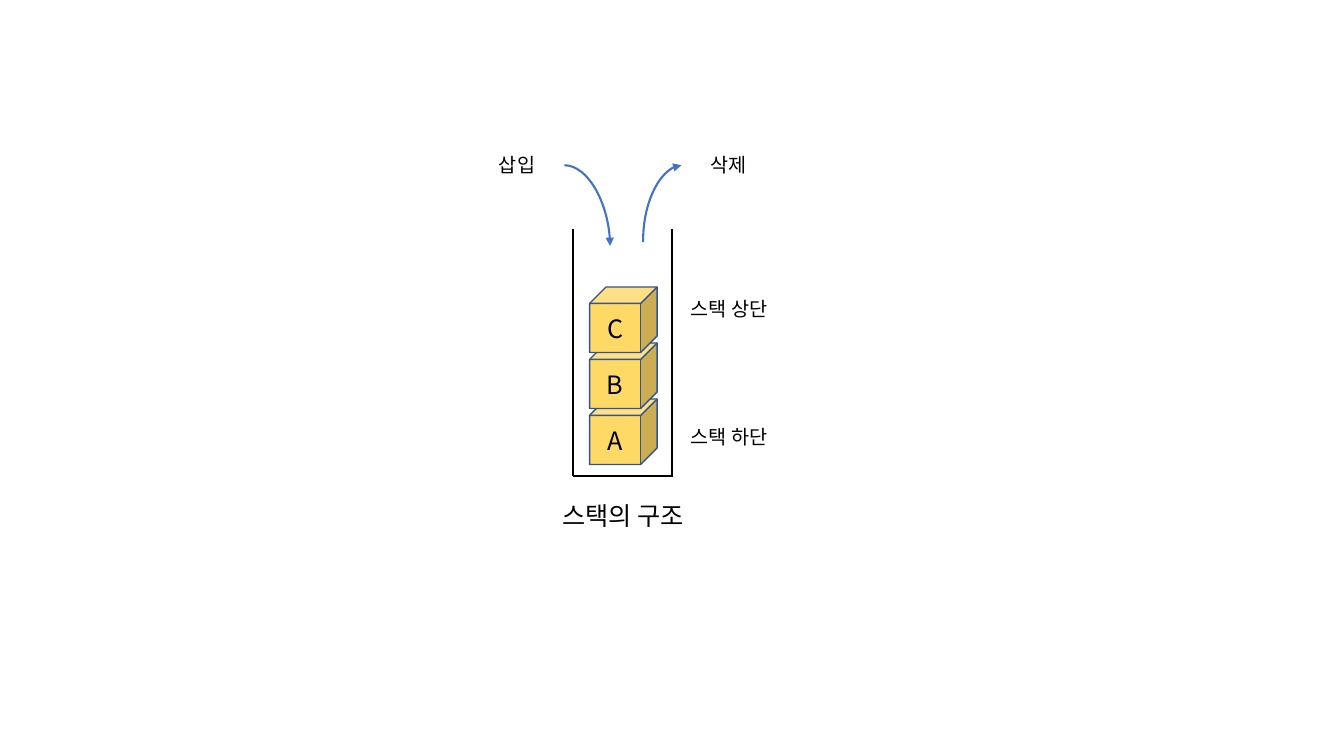
from dataclasses import dataclass

from pptx import Presentation
from pptx import util as u
from pptx.dml.color import RGBColor
from pptx.enum import shapes, text
from pptx.oxml.ns import qn
from lxml import etree

Pt = u.Pt


@dataclass(frozen=True)
class Theme:
    font: str = "Noto Sans CJK KR"
    ink: RGBColor = RGBColor(0x00, 0x00, 0x00)
    cube: RGBColor = RGBColor(0xFF, 0xD9, 0x66)
    edge: RGBColor = RGBColor(0x32, 0x54, 0x91)
    arrow: RGBColor = RGBColor(0x44, 0x72, 0xC4)
    large: int = 18
    small: int = 14
    thin: float = 1
    thick: float = 1.5


THEME = Theme()


def write(sp, words, size):
    tf = sp.text_frame
    tf.word_wrap = True
    p = tf.paragraphs[0]
    p.text = words
    p.alignment = text.PP_ALIGN.CENTER
    p.font.size = Pt(size)
    p.font.name = THEME.font
    p.font.color.rgb = THEME.ink
    # Hangul takes its typeface from the East Asian font slot
    for r in p.runs:
        r.font.name = THEME.font
        etree.SubElement(r.font._element, qn("a:ea"), typeface=THEME.font)


def add_label(s, words, size, left, top, width, height):
    box = s.shapes.add_textbox(Pt(left), Pt(top), Pt(width), Pt(height))
    write(box, words, size)


def add_line(s, kind, start, end, color):
    line = s.shapes.add_connector(kind, *(Pt(v) for v in (*start, *end)))
    line.line.color.rgb = color
    line.line.width = Pt(THEME.thick)
    etree.SubElement(line._element.spPr, qn("a:effectLst"))
    return line


def add_curved_arrow(s, start, end, turned=False):
    """Quarter curve; leaves start sideways, or vertically when turned."""
    (x1, y1), (x2, y2) = start, end
    if turned:
        # Frame before its 90 degree turn: same centre, sides exchanged
        cx, cy = (x1 + x2) / 2, (y1 + y2) / 2
        dx, dy = (y1 - y2) / 2, (x2 - x1) / 2
        start, end = (cx + dx, cy + dy), (cx - dx, cy - dy)
    arrow = add_line(s, shapes.MSO_CONNECTOR.CURVE, start, end, THEME.arrow)
    sp_pr = arrow._element.spPr
    sp_pr.find(qn("a:prstGeom")).set("prst", "curvedConnector2")
    if turned:
        sp_pr.find(qn("a:xfrm")).set("rot", str(90 * 60000))
    etree.SubElement(sp_pr.find(qn("a:ln")), qn("a:tailEnd"), type="triangle")


def add_cube(s, letter, left, top, width, height):
    cube = s.shapes.add_shape(shapes.MSO_SHAPE.CUBE, Pt(left), Pt(top), Pt(width), Pt(height))
    cube.shadow.inherit = False
    cube.fill.solid()
    cube.fill.fore_color.rgb = THEME.cube
    cube.line.color.rgb = THEME.edge
    cube.line.width = Pt(THEME.thin)
    cube.text_frame.vertical_anchor = text.MSO_ANCHOR.MIDDLE
    write(cube, letter, THEME.large)


def add_container(s, left, top, width, height):
    """Open-topped container."""
    right, floor = left + width, top + height
    straight = shapes.MSO_CONNECTOR.STRAIGHT
    for start, end in (
        ((left, top), (left, floor)),
        ((right, top), (right, floor)),
        ((left, floor), (right + 0.8, floor)),
    ):
        add_line(s, straight, start, end, THEME.ink)


def add_cubes(s, letters, left, top, width, height):
    """Stack cubes from the bottom up, each overlapping the one below."""
    cube_height, pitch = 46.8, 40
    bottom = top + height - 8 - cube_height
    for i, letter in enumerate(letters):
        add_cube(s, letter, left + 12.2, bottom - i * pitch, 48.2, cube_height)


def add_stack(s, left, top, width, height):
    box = (left, top, width, height)
    add_label(s, "스택의 구조", THEME.large, left - 204.5, top + 190.1, 481, 28.8)
    add_cubes(s, "ABC", *box)
    add_container(s, *box)
    for words, dy in (("스택 하단", 136.8), ("스택 상단", 45.4)):
        add_label(s, words, THEME.small, left + 12.2, top + dy, 199.4, 24.5)


def add_operations(s, left, top, width, height):
    """Insert and delete labels at the sides, with an arrow in and one out."""
    label_width, label_height = 67.7, 24.5
    right = left + width - label_width
    for words, x in (("삭제", right), ("삽입", left)):
        add_label(s, words, THEME.small, x, top, label_width, label_height)
    middle, bottom = top + label_height / 2, top + height
    begin = left + label_width
    add_curved_arrow(s, (begin, middle), (begin + 32.6, bottom))
    add_curved_arrow(s, (right - 27.4, bottom - 2.8), (right, middle), turned=True)


def main():
    prs = Presentation()
    prs.slide_width, prs.slide_height = Pt(960), Pt(540)
    s = prs.slides.add_slide(prs.slide_layouts[6])
    add_stack(s, 409, 163.4, 71.2, 176.4)
    add_operations(s, 335.5, 105.8, 218.9, 69.9)
    prs.save("out.pptx")


if __name__ == "__main__":
    main()
